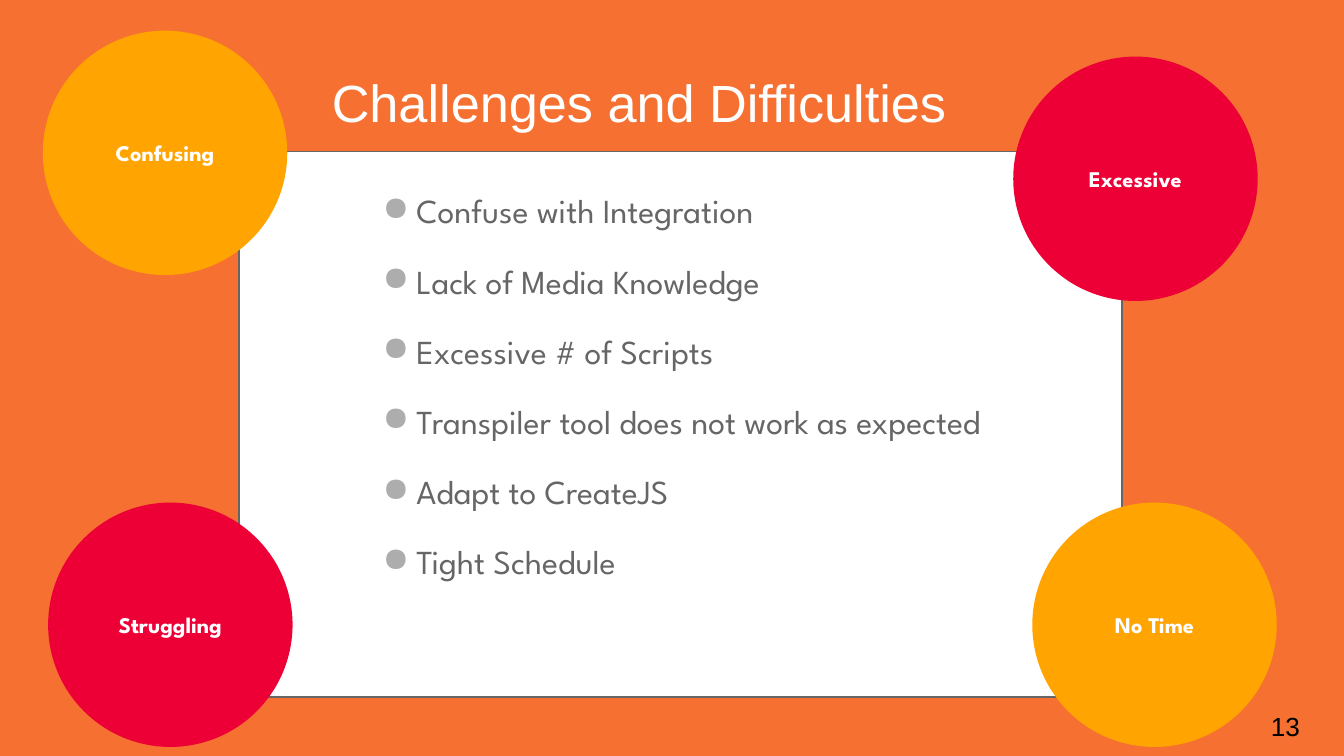
import lxml.etree
import pptx
import pptx.dml.color
import pptx.enum.shapes
import pptx.enum.text
import pptx.oxml.ns
import pptx.util

Cm = pptx.util.Cm
Pt = pptx.util.Pt
RGBColor = pptx.dml.color.RGBColor
MSO_SHAPE = pptx.enum.shapes.MSO_SHAPE
MSO_ANCHOR = pptx.enum.text.MSO_ANCHOR
PP_ALIGN = pptx.enum.text.PP_ALIGN

ORANGE = RGBColor(0xF6, 0x70, 0x31)
AMBER = RGBColor(0xFF, 0xA4, 0x00)
RED = RGBColor(0xED, 0x00, 0x36)
GRAY = RGBColor(0x66, 0x66, 0x66)
BULLET_GRAY = RGBColor(0xAD, 0xAD, 0xAD)
WHITE = RGBColor(0xFF, 0xFF, 0xFF)
BLACK = RGBColor(0x00, 0x00, 0x00)

HEADING_FONT = "Arial"
BODY_FONT = "League Spartan"
INSET = Cm(0.25)
CIRCLE_SIZE = Cm(4.62)


def prepare_frame(shape, anchor):
    """Set wrapping, insets and anchor, and return the text frame."""
    frame = shape.text_frame
    frame.word_wrap = True
    frame.auto_size = pptx.enum.text.MSO_AUTO_SIZE.NONE
    frame.vertical_anchor = anchor
    frame.margin_left = frame.margin_right = INSET
    frame.margin_top = frame.margin_bottom = INSET
    return frame


def add_run(paragraph, text, font_name, size, color, bold=False):
    run = paragraph.add_run()
    run.text = text
    run.font.name = font_name
    run.font.size = Pt(size)
    run.font.color.rgb = color
    run.font.bold = bold


presentation = pptx.Presentation()
presentation.slide_width = Cm(25.4)
presentation.slide_height = Cm(14.29)
slide = presentation.slides.add_slide(presentation.slide_layouts[5])
slide.background.fill.solid()
slide.background.fill.fore_color.rgb = ORANGE

# Title
title = slide.shapes.title
title.left, title.top = Cm(6.02), Cm(1.07)
title.width, title.height = Cm(12.55), Cm(3.23)
paragraph = prepare_frame(title, MSO_ANCHOR.TOP).paragraphs[0]
paragraph.alignment = PP_ALIGN.LEFT
add_run(paragraph, "Challenges and Difficulties", HEADING_FONT, 28, WHITE)

# Page number
page_number = slide.shapes.add_textbox(Cm(23.77), Cm(13.18), Cm(1.52), Cm(1.09))
paragraph = prepare_frame(page_number, MSO_ANCHOR.MIDDLE).paragraphs[0]
add_run(paragraph, "13", HEADING_FONT, 14, BLACK)

# White panel
panel = slide.shapes.add_shape(
    MSO_SHAPE.RECTANGLE, Cm(4.52), Cm(2.87), Cm(16.69), Cm(10.31))
panel.shadow.inherit = False
panel.fill.solid()
panel.fill.fore_color.rgb = WHITE
panel.line.color.rgb = GRAY
panel.line.width = Pt(0.75)

# Bulleted list
challenges = [
    "Confuse with Integration",
    "Lack of Media Knowledge",
    "Excessive # of Scripts",
    "Transpiler tool does not work as expected",
    "Adapt to CreateJS",
    "Tight Schedule",
]
challenge_list = slide.shapes.add_textbox(Cm(6.35), Cm(3.35), Cm(14.27), Cm(8.99))
frame = prepare_frame(challenge_list, MSO_ANCHOR.TOP)
qn = pptx.oxml.ns.qn
for index, challenge in enumerate(challenges):
    paragraph = frame.add_paragraph() if index else frame.paragraphs[0]
    paragraph.space_after = Pt(16)
    properties = paragraph._p.get_or_add_pPr()
    properties.set("marL", str(Cm(1.27)))
    properties.set("indent", str(-Cm(0.64)))
    bullet_color = lxml.etree.SubElement(properties, qn("a:buClr"))
    lxml.etree.SubElement(bullet_color, qn("a:srgbClr"), val=str(BULLET_GRAY))
    lxml.etree.SubElement(properties, qn("a:buChar"), char="●")
    add_run(paragraph, challenge, BODY_FONT, 18, GRAY)

# Corner circles
circles = [
    ("Confusing", 0.81, 0.58, AMBER),
    ("Excessive", 19.15, 1.07, RED),
    ("No Time", 19.51, 9.5, AMBER),
    ("Struggling", 0.91, 9.5, RED),
]
for label, left, top, color in circles:
    circle = slide.shapes.add_shape(
        MSO_SHAPE.OVAL, Cm(left), Cm(top), CIRCLE_SIZE, CIRCLE_SIZE)
    circle.shadow.inherit = False
    circle.fill.solid()
    circle.fill.fore_color.rgb = color
    circle.line.fill.background()
    paragraph = prepare_frame(circle, MSO_ANCHOR.MIDDLE).paragraphs[0]
    paragraph.alignment = PP_ALIGN.CENTER
    add_run(paragraph, label, BODY_FONT, 12, WHITE, bold=True)

presentation.save("out.pptx")
